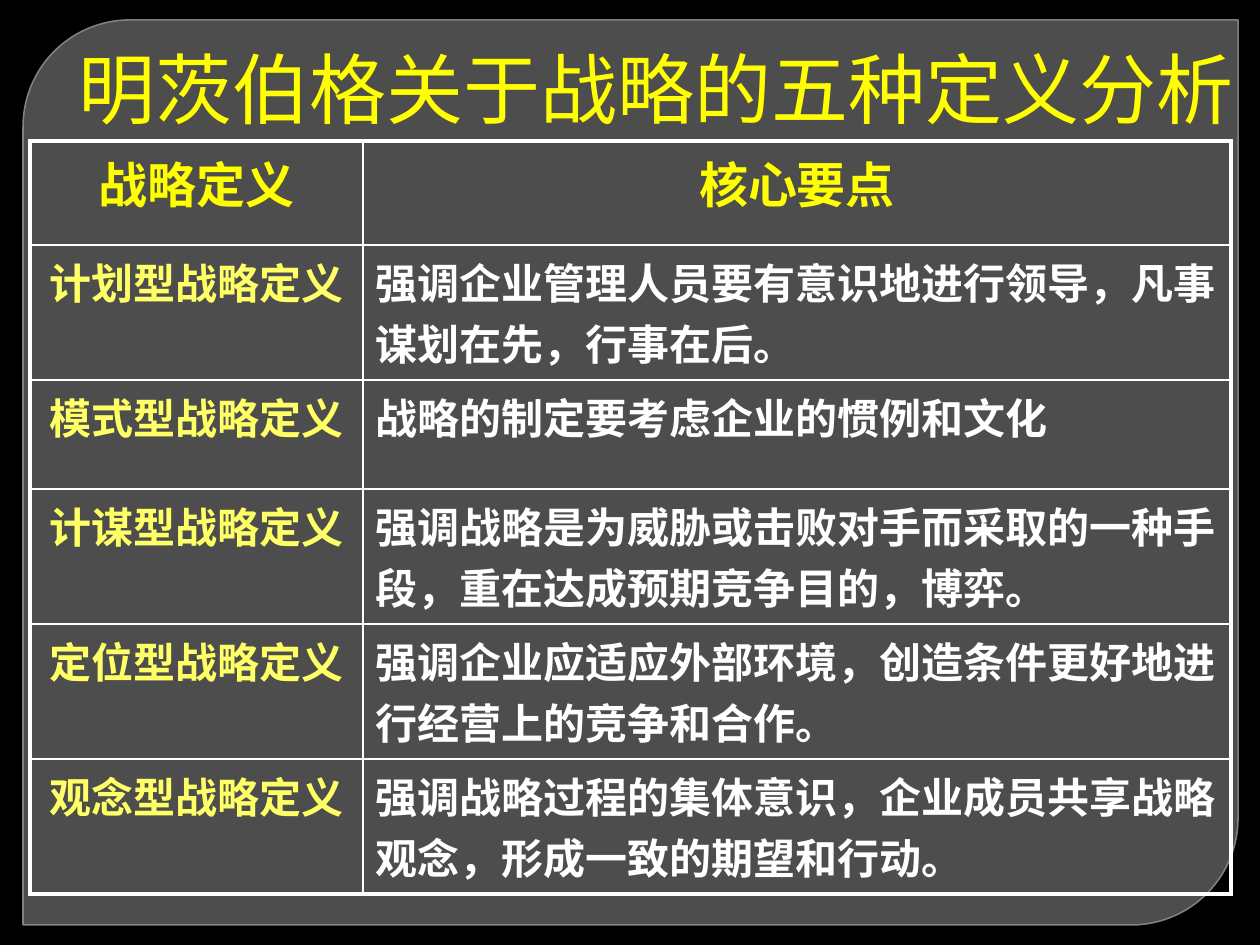
from lxml import etree
from pptx import Presentation
from pptx import util as u
from pptx.dml.color import RGBColor
from pptx.enum import shapes, text
from pptx.oxml.ns import qn

PX = 914400 / 126
BLACK = RGBColor(0x00, 0x00, 0x00)
PANEL = RGBColor(0x77, 0x77, 0x77)
EDGE = RGBColor(0x8E, 0x8E, 0x8E)
YELLOW = RGBColor(0xFF, 0xFF, 0x00)
PALE = RGBColor(0xFF, 0xFF, 0x66)
WHITE = RGBColor(0xFF, 0xFF, 0xFF)

LEFT, CENTER = text.PP_ALIGN.LEFT, text.PP_ALIGN.CENTER
TITLE = {"name": "TeX Gyre Bonum", "size": u.Pt(44), "color": YELLOW}
HEAD = {"name": "Arial", "size": u.Pt(28), "bold": True, "color": YELLOW}
TERM = {**HEAD, "size": u.Pt(24), "color": PALE}
POINT = {**TERM, "color": WHITE}

COLS = (333, 868)
HEIGHTS = (104, 135, 109, 135, 135, 135)
ROWS = (
    ("战略定义", "核心要点"),
    ("计划型战略定义", "强调企业管理人员要有意识地进行领导，凡事谋划在先，行事在后。"),
    ("模式型战略定义", "战略的制定要考虑企业的惯例和文化"),
    ("计谋型战略定义", "强调战略是为威胁或击败对手而采取的一种手段，重在达成预期竞争目的，博弈。"),
    ("定位型战略定义", "强调企业应适应外部环境，创造条件更好地进行经营上的竞争和合作。"),
    ("观念型战略定义", "强调战略过程的集体意识，企业成员共享战略观念，形成一致的期望和行动。"),
)


def emu(*px):
    return [u.Emu(round(v * PX)) for v in px]


def write(tf, words, fmt, align):
    p = tf.paragraphs[0]
    p.alignment = align
    r = p.add_run()
    r.text = words
    for key, value in fmt.items():
        if key == "color":
            r.font.color.rgb = value
        else:
            setattr(r.font, key, value)


def set_alpha(fill_el, percent):
    etree.SubElement(fill_el[0], qn("a:alpha")).set("val", str(percent * 1000))


def add_panel(s, box):
    sp = s.shapes.add_shape(shapes.MSO_SHAPE.ROUND_2_DIAG_RECTANGLE, *emu(*box))
    sp.shadow.inherit = False
    sp.adjustments[0], sp.adjustments[1] = 0.118, 0
    sp.fill.solid()
    sp.fill.fore_color.rgb = PANEL
    sp.line.color.rgb = EDGE
    sp.line.width = u.Pt(0.87)
    spPr = sp.element.spPr
    set_alpha(spPr.find(qn("a:solidFill")), 65)
    set_alpha(spPr.find(qn("a:ln")).find(qn("a:solidFill")), 88)


def add_title(s, box):
    tf = s.shapes.add_textbox(*emu(*box)).text_frame
    tf.word_wrap = True
    tf.auto_size = text.MSO_AUTO_SIZE.SHAPE_TO_FIT_TEXT
    write(tf, "明茨伯格关于战略的五种定义分析", TITLE, CENTER)


def set_borders(cell, outer):
    tcPr = cell._tc.get_or_add_tcPr()
    for side in "LRTB":
        width = u.Pt(2.25 if side in outer else 1)
        ln = etree.SubElement(tcPr, qn("a:ln" + side), w=str(width))
        fill = etree.SubElement(ln, qn("a:solidFill"))
        etree.SubElement(fill, qn("a:srgbClr"), val=str(WHITE))


def add_definitions(s, left, top):
    box = emu(left, top, sum(COLS), sum(HEIGHTS))
    table = s.shapes.add_table(len(ROWS), len(COLS), *box).table
    table.first_row = table.horz_banding = False
    for col, width in zip(table.columns, emu(*COLS)):
        col.width = width
    for row, height in zip(table.rows, emu(*HEIGHTS)):
        row.height = height
    for i, words in enumerate(ROWS):
        for j, word in enumerate(words):
            cell = table.cell(i, j)
            outer = "LR"[j] + {0: "T", len(ROWS) - 1: "B"}.get(i, "")
            set_borders(cell, outer)
            cell.fill.background()
            fmt = HEAD if i == 0 else (TERM, POINT)[j]
            write(cell.text_frame, word, fmt, LEFT if i and j else CENTER)


def main():
    prs = Presentation()
    prs.slide_width, prs.slide_height = emu(1260, 945)
    s = prs.slides.add_slide(prs.slide_layouts[6])
    s.background.fill.solid()
    s.background.fill.fore_color.rgb = BLACK
    add_panel(s, (23, 20, 1215, 905))
    add_definitions(s, 30, 141)
    add_title(s, (54, 35, 1206, 104))
    prs.save("out.pptx")


if __name__ == "__main__":
    main()
